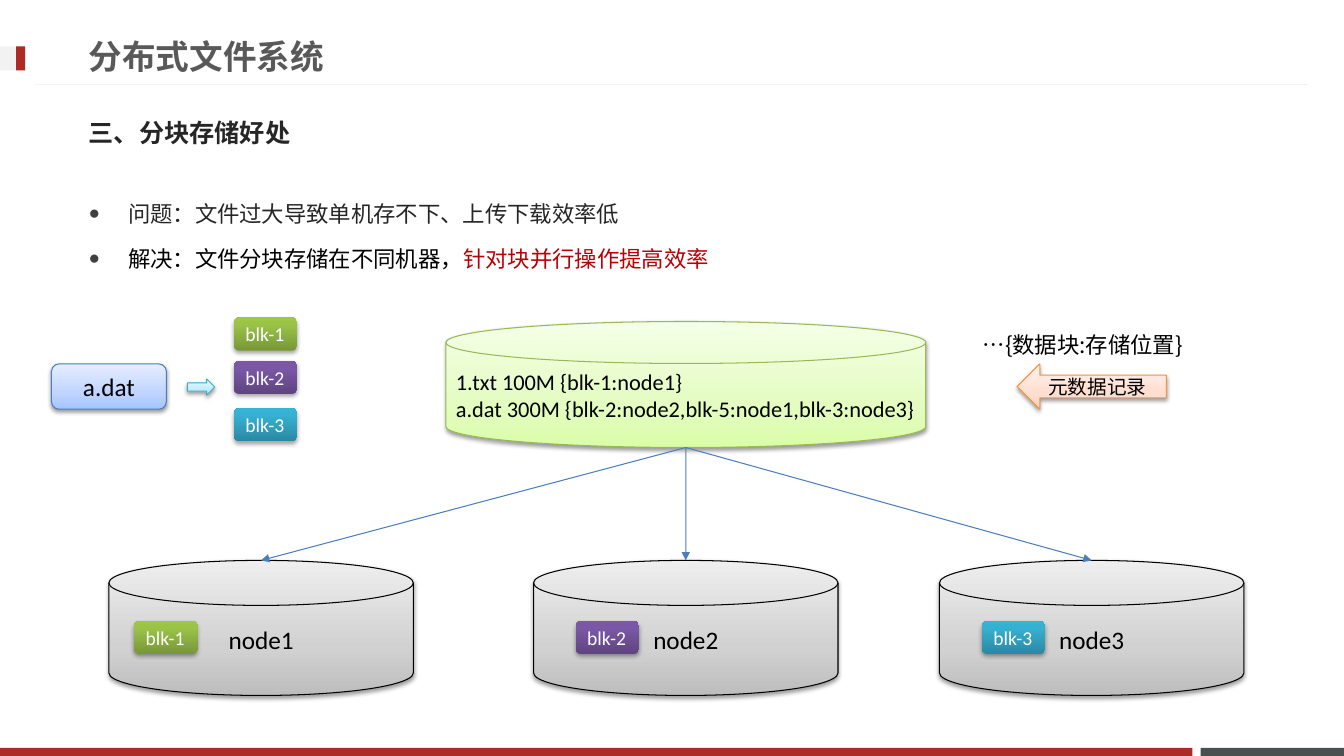
from copy import deepcopy
from dataclasses import dataclass

from lxml import etree
from pptx import Presentation
from pptx.dml.color import RGBColor
from pptx.enum.lang import MSO_LANGUAGE_ID
from pptx.enum.shapes import MSO_CONNECTOR, MSO_SHAPE
from pptx.enum.text import MSO_ANCHOR, MSO_AUTO_SIZE, PP_ALIGN
from pptx.oxml.ns import qn
from pptx.util import Inches, Pt

RECTANGLE, ROUNDED = MSO_SHAPE.RECTANGLE, MSO_SHAPE.ROUNDED_RECTANGLE
DISK = MSO_SHAPE.FLOWCHART_MAGNETIC_DISK
LEFT_ARROW, RIGHT_ARROW = MSO_SHAPE.LEFT_ARROW, MSO_SHAPE.RIGHT_ARROW
STRAIGHT = MSO_CONNECTOR.STRAIGHT
LEFT, CENTER = PP_ALIGN.LEFT, PP_ALIGN.CENTER
TOP, MIDDLE = MSO_ANCHOR.TOP, MSO_ANCHOR.MIDDLE
NO_AUTOFIT = MSO_AUTO_SIZE.NONE
CHINESE = MSO_LANGUAGE_ID.SIMPLIFIED_CHINESE

LATIN_FACE, CHINESE_FACE = "Calibri", "Noto Sans CJK JP"
BLACK = RGBColor(0x00, 0x00, 0x00)
WHITE = RGBColor(0xFF, 0xFF, 0xFF)
INK = RGBColor(0x26, 0x26, 0x26)
BULLET_GRAY = RGBColor(0x40, 0x40, 0x40)
TITLE_GRAY = RGBColor(0x59, 0x59, 0x59)
SLATE = RGBColor(0x49, 0x50, 0x4F)
PALE_GRAY = RGBColor(0xF2, 0xF2, 0xF2)
BRICK = RGBColor(0xAD, 0x2B, 0x26)
EMPHASIS = RGBColor(0xB7, 0x00, 0x06)
BLUE = RGBColor(0x4B, 0x7E, 0xBC)
GREEN = RGBColor(0x98, 0xB9, 0x55)
ORANGE = RGBColor(0xF6, 0x92, 0x40)
TEAL = RGBColor(0x46, 0xAA, 0xC5)

WIDTH, HEIGHT = Inches(13.33), Inches(7.5)


@dataclass(frozen=True)
class Area:
    """Left, top, width and height in percent of the slide."""
    left: float
    top: float
    width: float
    height: float

    def lengths(self) -> tuple[int, int, int, int]:
        return (across(self.left), down(self.top), across(self.width), down(self.height))


@dataclass(frozen=True)
class Shade:
    low: RGBColor
    mid: RGBColor
    high: RGBColor
    mid_stop: float = 0.35
    edge: RGBColor | None = None
    shadow_alpha: int = 38
    shadow_distance: float = 1.6


@dataclass(frozen=True)
class Block:
    name: str
    shade: Shade
    stack_top: float
    node: str
    node_left: float
    chip_left: float


def shade(low: str, mid: str, high: str, edge: RGBColor) -> Shade:
    return Shade(*map(RGBColor.from_string, (low, mid, high)), edge=edge)


def chip_shade(low: str, mid: str, high: str) -> Shade:
    return Shade(*map(RGBColor.from_string, (low, mid, high)), 0.8, None, 35, 1.8)


NODE_SHADE = shade("BDBDBD", "D1D1D1", "EEEEEE", BLACK)
INDEX_SHADE = shade("DAFDA7", "E4FCC2", "F5FFE7", GREEN)
RECORD_SHADE = shade("FFD2BD", "FFDED0", "FFF2ED", ORANGE)
FILE_SHADE = shade("A4C4FF", "BFD4FF", "E6EEFF", BLUE)
SPLIT_SHADE = shade("A7E6FF", "C1EDFF", "E7F8FF", TEAL)

BLOCKS = (
    Block("blk-1", chip_shade("779737", "9BC348", "9DC746"), 42, "node1", 8.1, 9.98),
    Block("blk-2", chip_shade("5F4480", "7B58A6", "7C57A8"), 47.73, "node2", 39.7, 42.83),
    Block("blk-3", chip_shade("2A88A2", "37B1D2", "34B4D6"), 54, "node3", 69.9, 73.05),
)
INDEX = Area(33.18, 42.53, 35.7, 16.67)
NODE_TOP, NODE_WIDTH, NODE_HEIGHT = 74.13, 22.65, 17.87
CHIP_WIDTH, CHIP_HEIGHT, STACK_LEFT, NODE_CHIP_TOP = 4.72, 4.4, 17.4, 82.13


def across(percent: float) -> int:
    return round(WIDTH * percent / 100)


def down(percent: float) -> int:
    return round(HEIGHT * percent / 100)


def write(para, text: str, *, size=16, color=BLACK, face=LATIN_FACE, bold=False, align=LEFT) -> None:
    para.alignment = align
    span = para.add_run()
    span.text = text
    font = span.font
    font.size, font.bold, font.name = Pt(size), bold, face
    font.color.rgb = color
    font.language_id = CHINESE
    latin = span._r.rPr.find(qn("a:latin"))
    latin.addnext(etree.Element(qn("a:ea"), typeface=CHINESE_FACE))


def set_bullet(para, char: str | None) -> None:
    properties = para._p.get_or_add_pPr()
    if char is None:
        properties.set("marL", "0")
        properties.set("indent", "0")
        etree.SubElement(properties, qn("a:buNone"))
        return
    properties.set("marL", str(Inches(0.39)))
    properties.set("indent", str(-Inches(0.39)))
    color = etree.SubElement(properties, qn("a:buClr"))
    etree.SubElement(color, qn("a:srgbClr"), val=str(BULLET_GRAY))
    etree.SubElement(properties, qn("a:buSzPct"), val="85000")
    etree.SubElement(properties, qn("a:buChar"), char=char)


def place(box, area: Area, anchor) -> None:
    box.left, box.top, box.width, box.height = area.lengths()
    frame = box.text_frame
    frame.auto_size, frame.word_wrap, frame.vertical_anchor = NO_AUTOFIT, True, anchor


def add_flat(page, area: Area, color: RGBColor) -> None:
    box = page.shapes.add_shape(RECTANGLE, *area.lengths())
    box.shadow.inherit = False
    box.fill.solid()
    box.fill.fore_color.rgb = color
    box.line.fill.background()


def add_shaded(page, kind, area: Area, look: Shade, *lines: str, **text_format):
    box = page.shapes.add_shape(kind, *area.lengths())
    box.fill.gradient()
    box.fill.gradient_angle = 90
    properties = box._element.spPr
    first = next(properties.iter(qn("a:gs")))
    first.addnext(deepcopy(first))
    stops = zip(box.fill.gradient_stops, (0, look.mid_stop, 1), (look.low, look.mid, look.high))
    for stop, position, color in stops:
        stop.position, stop.color.rgb = position, color
    if look.edge is None:
        box.line.fill.background()
    else:
        box.line.color.rgb, box.line.width = look.edge, Pt(0.75)
    box.shadow.inherit = False
    shadow = etree.SubElement(properties.find(qn("a:effectLst")), qn("a:outerShdw"), blurRad=str(Pt(3.1)),
                              dist=str(Pt(look.shadow_distance)), dir="5400000", rotWithShape="0")
    tone = etree.SubElement(shadow, qn("a:srgbClr"), val=str(BLACK))
    etree.SubElement(tone, qn("a:alpha"), val=str(look.shadow_alpha * 1000))
    frame = box.text_frame
    frame.word_wrap, frame.vertical_anchor = True, MIDDLE
    for number, line in enumerate(lines):
        para = frame.add_paragraph() if number else frame.paragraphs[0]
        write(para, line, **text_format)
    return box


def add_line(page, start: tuple[float, float], end: tuple[float, float], color: RGBColor, arrow=False) -> None:
    line = page.shapes.add_connector(STRAIGHT, across(start[0]), down(start[1]), across(end[0]), down(end[1]))
    line.line.color.rgb, line.line.width = color, Pt(0.75)
    if arrow:
        etree.SubElement(line.line._get_or_add_ln(), qn("a:tailEnd"), type="triangle")
    etree.SubElement(line._element.spPr, qn("a:effectLst"))


def add_wording(page) -> None:
    title, heading, body = page.placeholders
    place(title, Area(5.85, 3.6, 71.93, 7.6), MIDDLE)
    write(title.text_frame.paragraphs[0], "分布式文件系统", size=24, color=TITLE_GRAY, bold=True)
    place(heading, Area(5.85, 13.73, 88.2, 7.6), MIDDLE)
    para = heading.text_frame.paragraphs[0]
    set_bullet(para, None)
    para.space_before = Pt(0)
    write(para, "三、分块存储好处", size=18, color=INK, face=CHINESE_FACE, bold=True)
    place(body, Area(5.85, 24, 88.2, 61.47), TOP)
    problem, answer = body.text_frame.paragraphs[0], body.text_frame.add_paragraph()
    for para, gap in ((problem, 0), (answer, 3.2)):
        set_bullet(para, "●")
        para.line_spacing, para.space_before = 1.5, Pt(gap)
    write(problem, "问题：文件过大导致单机存不下、上传下载效率低", color=INK)
    write(answer, "解决：文件分块存储在不同机器，")
    write(answer, "针对块并行操作提高效率", color=EMPHASIS)


def add_frame(page) -> None:
    add_flat(page, Area(89.33, 98.93, 10.67, 1.07), SLATE)
    add_flat(page, Area(0, 98.93, 88.73, 1.07), BRICK)
    add_line(page, (97.35, 11.2), (2.63, 11.2), PALE_GRAY)
    add_flat(page, Area(0, 6.13, 1.88, 3.2), PALE_GRAY)
    add_flat(page, Area(1.2, 6.13, 0.68, 3.2), BRICK)


def add_diagram(page) -> None:
    index = add_shaded(page, DISK, INDEX, INDEX_SHADE, "1.txt 100M {blk-1:node1}",
                       "a.dat 300M {blk-2:node2,blk-5:node1,blk-3:node3}")
    index.text_frame.margin_right = 0
    note_area = Area(72.38, 43.2, 23.48, 4.93)
    note = page.shapes.add_textbox(*note_area.lengths())
    place(note, note_area, TOP)
    write(note.text_frame.paragraphs[0], "…{数据块:存储位置}", face=CHINESE_FACE)
    add_shaded(page, LEFT_ARROW, Area(75.68, 48.13, 11.1, 6), RECORD_SHADE, "元数据记录", size=14, align=CENTER)
    add_shaded(page, ROUNDED, Area(3.83, 48.13, 8.55, 6), FILE_SHADE, "a.dat", size=18, align=CENTER)
    add_shaded(page, RIGHT_ARROW, Area(13.95, 50.13, 2.03, 2.13), SPLIT_SHADE)
    hub = (INDEX.left + INDEX.width / 2, INDEX.top + INDEX.height)
    for block in BLOCKS:
        node_area = Area(block.node_left, NODE_TOP, NODE_WIDTH, NODE_HEIGHT)
        add_shaded(page, DISK, node_area, NODE_SHADE, block.node, size=18, align=CENTER)
        for left, top in ((STACK_LEFT, block.stack_top), (block.chip_left, NODE_CHIP_TOP)):
            chip_area = Area(left, top, CHIP_WIDTH, CHIP_HEIGHT)
            add_shaded(page, ROUNDED, chip_area, block.shade, block.name, size=14, color=WHITE)
        add_line(page, hub, (block.node_left + NODE_WIDTH / 2, NODE_TOP), BLUE, arrow=True)


def main() -> None:
    deck = Presentation()
    deck.slide_width, deck.slide_height = WIDTH, HEIGHT
    page = deck.slides.add_slide(deck.slide_layouts.get_by_name("Two Content"))
    add_frame(page)
    add_wording(page)
    add_diagram(page)
    deck.save("out.pptx")


if __name__ == "__main__":
    main()
